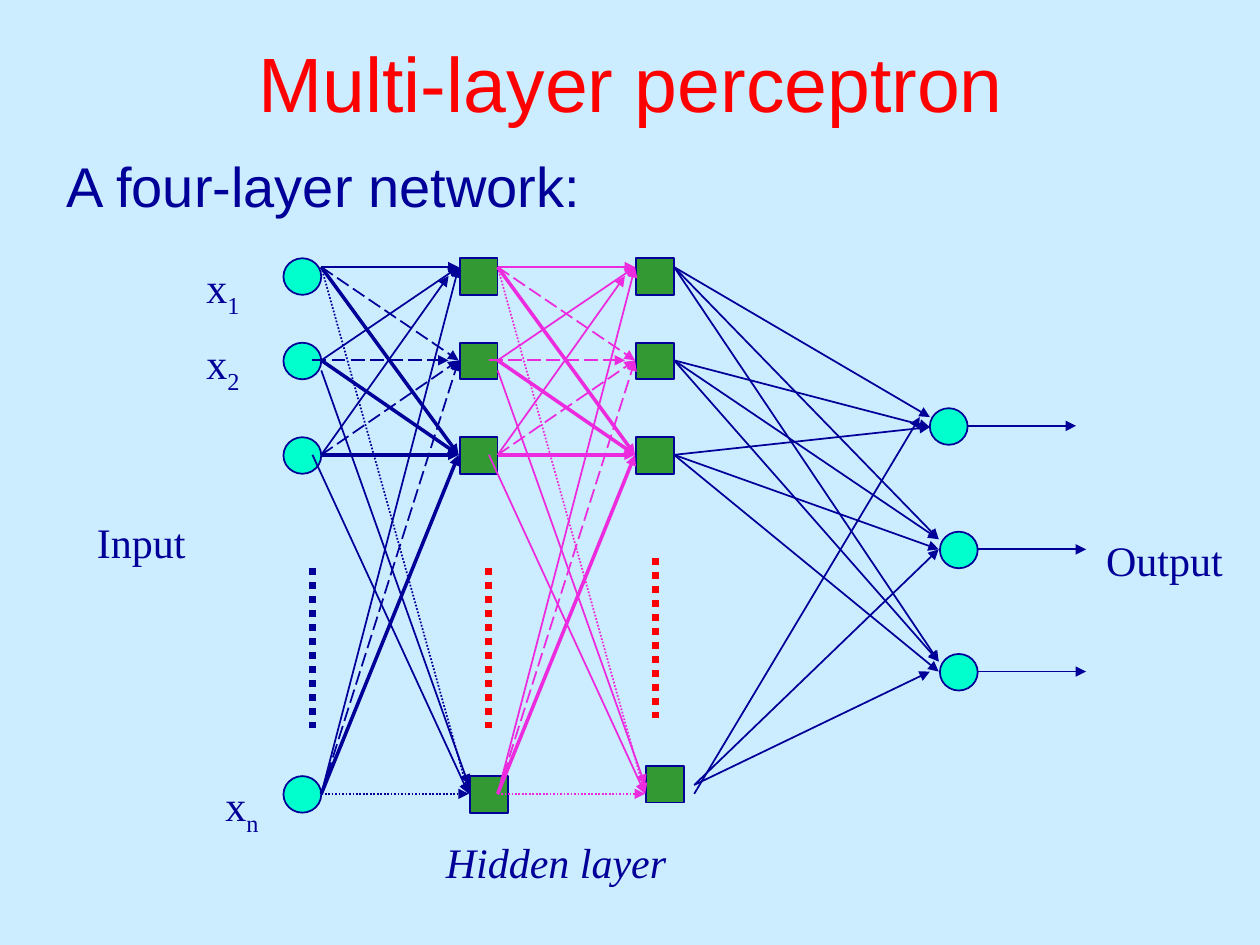
from dataclasses import dataclass

from lxml import etree
from pptx import Presentation
from pptx import util as u
from pptx.dml.color import RGBColor
from pptx.enum import dml, shapes, text
from pptx.oxml.ns import qn


@dataclass(frozen=True)
class Theme:
    sky: str = "CCECFF"
    navy: str = "000099"
    red: str = "FF0000"
    pink: str = "EC2ADE"
    aqua: str = "00FFCC"
    green: str = "339933"
    sans: str = "Arial"
    serif: str = "Times New Roman"
    title: int = 44
    heading: int = 32
    label: int = 24
    thin: int = 1
    bold: int = 2
    dots: int = 4


THEME = Theme()
DOTTED = dml.MSO_LINE.ROUND_DOT
DASHED = dml.MSO_LINE.LONG_DASH


def assign(target, values):
    for name, value in values.items():
        setattr(target, name, value)


class Diagram:
    def __init__(self, slide, theme):
        self.slide = slide
        self.theme = theme
        slide.background.fill.solid()
        slide.background.fill.fore_color.rgb = RGBColor.from_string(theme.sky)

    def label(self, area, words, subscript="", color=None, wrap=False,
              fit=text.MSO_AUTO_SIZE.SHAPE_TO_FIT_TEXT,
              anchor=text.MSO_ANCHOR.TOP, align=text.PP_ALIGN.LEFT, **font):
        box = self.slide.shapes.add_textbox(*map(u.Inches, area))
        assign(box.text_frame, {"word_wrap": wrap, "auto_size": fit,
                                "vertical_anchor": anchor})
        para = box.text_frame.paragraphs[0]
        para.alignment = align
        style = {"name": self.theme.serif, "size": u.Pt(self.theme.label), **font}
        for part, baseline in ((words, None), (subscript, "-25000")):
            if not part:
                continue
            span = para.add_run()
            span.text = part
            assign(span.font, style)
            span.font.color.rgb = RGBColor.from_string(color or self.theme.navy)
            if baseline:
                span.font._element.set("baseline", baseline)

    def node(self, kind, left, top, fill):
        shape = self.slide.shapes.add_shape(
            kind, *map(u.Inches, (left, top, 0.3, 0.29)))
        shape.shadow.inherit = False
        shape.fill.solid()
        shape.fill.fore_color.rgb = RGBColor.from_string(fill)
        shape.line.color.rgb = RGBColor.from_string(self.theme.navy)
        shape.line.width = u.Pt(self.theme.thin)

    def neuron(self, left, top):
        self.node(shapes.MSO_SHAPE.OVAL, left, top, self.theme.aqua)

    def hidden_unit(self, left, top):
        self.node(shapes.MSO_SHAPE.RECTANGLE, left, top, self.theme.green)

    def line(self, start, end, color=None, width=None, dash=None, arrow=True):
        link = self.slide.shapes.add_connector(
            shapes.MSO_CONNECTOR.STRAIGHT, *map(u.Inches, (*start, *end)))
        link.line.color.rgb = RGBColor.from_string(color or self.theme.navy)
        assign(link.line, {"width": u.Pt(width or self.theme.thin),
                           "dash_style": dash})
        properties = link._element.spPr
        if arrow:
            outline = properties.find(qn("a:ln"))
            etree.SubElement(outline, qn("a:tailEnd"), type="triangle")
        etree.SubElement(properties, qn("a:effectLst"))

    def ellipsis(self, x, top, color):
        self.line((x, top), (x, top + 1.27), color, self.theme.dots, DOTTED, False)


ROWS = (2.05, 2.72, 3.47)
FIRST, SECOND, THIRD, LAST = 2.12, 2.86, 3.61, 6.3
LAYER_GAP = 1.4
OUTPUTS = ((7.38, 3.24), (7.46, 4.22), (7.46, 5.19))

HIDDEN_LINKS = (
    (THEME.thin, None, (
        (2.55, FIRST, 3.64, FIRST), (2.55, SECOND, 3.64, FIRST),
        (2.55, THIRD, 3.56, 2.19), (2.55, LAST, 3.64, FIRST),
        (2.55, 2.94, 3.72, 6.23), (2.48, THIRD, 3.72, LAST))),
    (THEME.thin, DASHED, (
        (2.55, FIRST, 3.64, SECOND), (2.48, SECOND, 3.56, SECOND),
        (2.55, THIRD, 3.64, SECOND), (2.55, LAST, 3.64, SECOND))),
    (THEME.bold, None, tuple(
        (2.55, row, 3.64, THIRD) for row in (FIRST, SECOND, THIRD, LAST))),
    (THEME.thin, DOTTED, tuple(
        (2.55, row, 3.72, LAST) for row in (FIRST, LAST))),
)

OUTPUT_LINKS = (
    ((5.35, FIRST), ((7.38, 3.31), (7.45, 4.28), (7.45, 5.25))),
    ((5.35, SECOND), ((7.38, 3.39), (7.45, 4.28), (7.45, 5.25))),
    ((5.35, THIRD), ((7.38, 3.39), (7.45, 4.36), (7.45, 5.33))),
    ((5.51, LAST), ((7.3, 3.31),)),
    ((5.51, 6.23), ((7.45, 4.36), (7.38, 5.33))),
)

LABELS = (
    ((1.54, 2.03, 0.46, 0.55), "x", "1"),
    ((1.54, 2.63, 0.46, 0.55), "x", "2"),
    ((1.69, 6.14, 0.46, 0.55), "x", "n"),
    ((0.67, 4.05, 0.91, 0.5), "Input", ""),
    ((8.68, 4.19, 1.13, 0.5), "Output", ""),
)


def draw_nodes(diagram):
    for top in (*ROWS, 6.16):
        diagram.neuron(2.25, top)
    for left, last_top in ((3.65, 6.16), (3.65 + LAYER_GAP, 6.08)):
        for top in ROWS:
            diagram.hidden_unit(left, top)
        diagram.hidden_unit(left + 0.08, last_top)
    for left, top in OUTPUTS:
        diagram.neuron(left, top)


def draw_links(diagram):
    for shift, color in ((0, THEME.navy), (LAYER_GAP, THEME.pink)):
        for width, dash, links in HIDDEN_LINKS:
            for x1, y1, x2, y2 in links:
                diagram.line((x1 + shift, y1), (x2 + shift, y2), color, width, dash)
    for start, ends in OUTPUT_LINKS:
        for end in ends:
            diagram.line(start, end)
    for left, top in OUTPUTS:
        middle = top + 0.14
        diagram.line((left + 0.3, middle), (left + 1.16, middle))
    for x, top, color in ((2.48, 4.51, THEME.navy), (3.88, 4.51, THEME.red),
                          (5.2, 4.43, THEME.red)):
        diagram.ellipsis(x, top, color)


def main():
    deck = Presentation()
    assign(deck, {"slide_width": u.Inches(10), "slide_height": u.Inches(7.5)})
    page = deck.slides.add_slide(deck.slide_layouts[6])
    diagram = Diagram(page, THEME)
    diagram.label((0.51, 0.13, 9, 1.04), "Multi-layer perceptron",
                  color=THEME.red, wrap=True, fit=text.MSO_AUTO_SIZE.NONE,
                  anchor=text.MSO_ANCHOR.MIDDLE, align=text.PP_ALIGN.CENTER,
                  name=THEME.sans, size=u.Pt(THEME.title))
    diagram.label((0.43, 1.15, 4.3, 0.63), "A four-layer network:",
                  name=THEME.sans, size=u.Pt(THEME.heading))
    draw_nodes(diagram)
    draw_links(diagram)
    for area, words, subscript in LABELS:
        diagram.label(area, words, subscript)
    diagram.label((3.44, 6.59, 2.03, 0.5), "Hidden layer", italic=True)
    deck.save("out.pptx")


if __name__ == "__main__":
    main()
